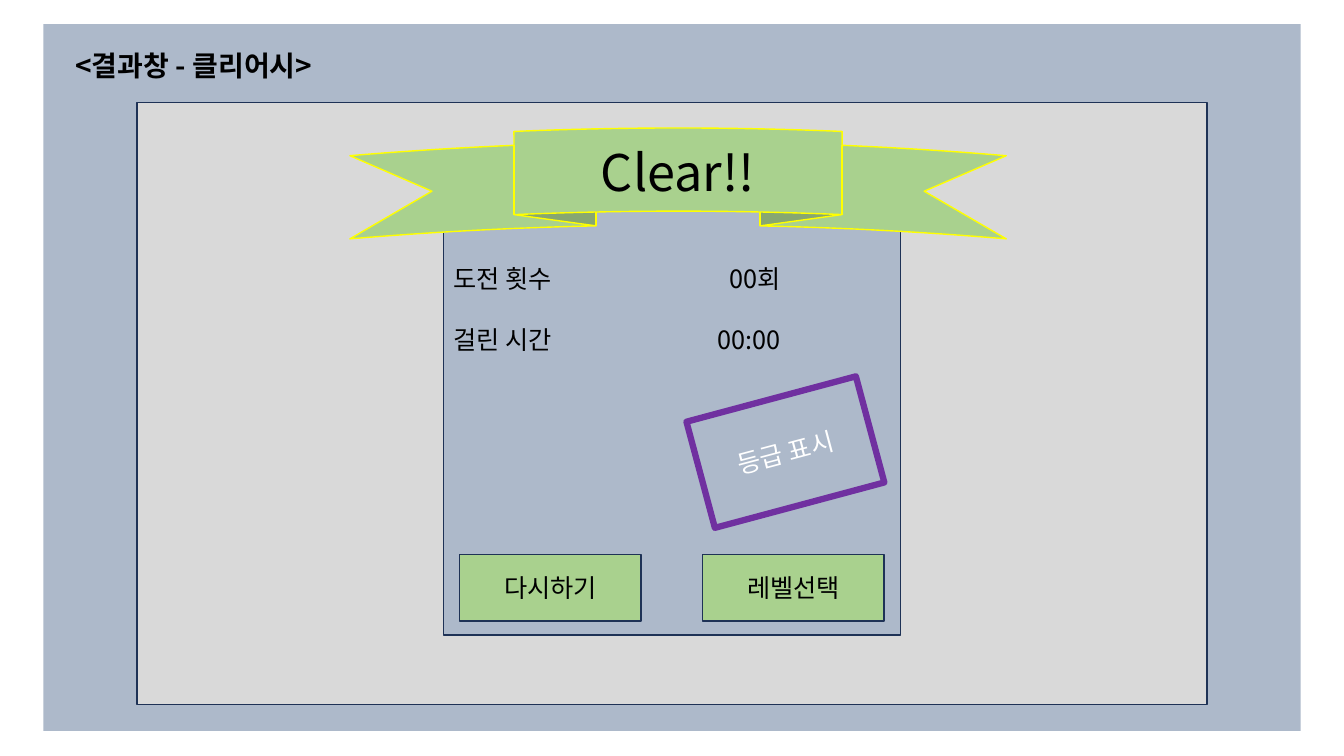
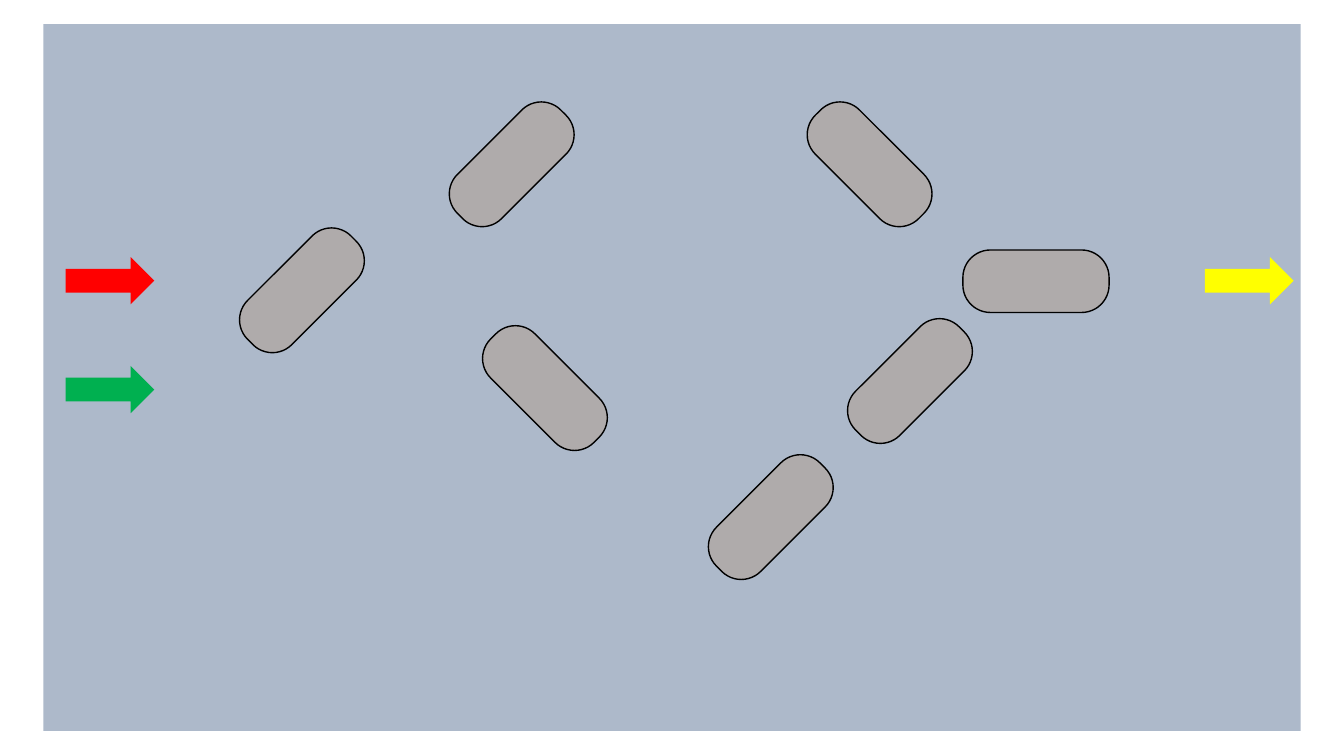
from lxml.etree import SubElement
from pptx import Presentation
from pptx.dml.color import RGBColor
from pptx.enum.shapes import MSO_SHAPE
from pptx.enum.text import MSO_ANCHOR, MSO_AUTO_SIZE, PP_ALIGN
from pptx.oxml.ns import qn
from pptx.util import Inches, Pt

FONT = "Noto Sans CJK KR"
BLACK = RGBColor(0x00, 0x00, 0x00)
WHITE = RGBColor(0xFF, 0xFF, 0xFF)
BLUE_GRAY = RGBColor(0xAD, 0xB9, 0xCA)
LIGHT_GRAY = RGBColor(0xD9, 0xD9, 0xD9)
STONE = RGBColor(0xAF, 0xAB, 0xAB)
NAVY = RGBColor(0x1E, 0x32, 0x56)
LEAF = RGBColor(0xA9, 0xD1, 0x8E)
PURPLE = RGBColor(0x70, 0x30, 0xA0)
YELLOW = RGBColor(0xFF, 0xFF, 0x00)
RED = RGBColor(0xFF, 0x00, 0x00)
GREEN = RGBColor(0x00, 0xB0, 0x50)


def style_text(frame, size, color=BLACK, bold=False):
    for paragraph in frame.paragraphs:
        for run in paragraph.runs:
            run.font.size = Pt(size)
            run.font.bold = bold
            run.font.color.rgb = color
            run.font.name = FONT
            # Korean letters take the East Asian font
            SubElement(run.font._element, qn("a:ea"), typeface=FONT)


def add_block(slide, kind, box, fill=None, line=None, width=1,
              text="", size=18, color=BLACK, rotation=0):
    block = slide.shapes.add_shape(kind, *map(Inches, box))
    block.shadow.inherit = False
    block.rotation = rotation
    if fill is None:
        block.fill.background()
    else:
        block.fill.solid()
        block.fill.fore_color.rgb = fill
    if line is None:
        block.line.fill.background()
    else:
        block.line.color.rgb = line
        block.line.width = Pt(width)
    if text:
        frame = block.text_frame
        frame.text = text
        frame.vertical_anchor = MSO_ANCHOR.MIDDLE
        frame.paragraphs[0].alignment = PP_ALIGN.CENTER
        style_text(frame, size, color)
    return block


prs = Presentation()
prs.slide_width = Inches(13.33)
prs.slide_height = Inches(7.5)

# Both slides share the blue-gray stage
result, level = [prs.slides.add_slide(prs.slide_layouts[6]) for _ in range(2)]
for slide in (result, level):
    add_block(slide, MSO_SHAPE.RECTANGLE, (0.43, 0.24, 12.47, 7.01), BLUE_GRAY)

# Slide 1: result window
add_block(result, MSO_SHAPE.RECTANGLE, (1.36, 1.02, 10.61, 5.97), LIGHT_GRAY, NAVY)

title = result.shapes.add_textbox(Inches(0.65), Inches(0.43), Inches(2.87), Inches(0.44))
title.text_frame.text = "<결과창 - 클리어시>"
title.text_frame.word_wrap = False
title.text_frame.auto_size = MSO_AUTO_SIZE.SHAPE_TO_FIT_TEXT
style_text(title.text_frame, 20, bold=True)

add_block(result, MSO_SHAPE.RECTANGLE, (4.4, 1.77, 4.53, 4.53), BLUE_GRAY, NAVY)
add_block(result, MSO_SHAPE.CURVED_UP_RIBBON, (3.47, 1.27, 6.51, 1.1), LEAF, YELLOW,
          text="Clear!!", size=36)

# Attempts and time, values right-aligned on a tab stop
stats = result.shapes.add_textbox(Inches(4.4), Inches(2.56), Inches(4.53), Inches(1.01))
stats.text_frame.word_wrap = True
stats.text_frame.text = "도전 횟수\t00회\n걸린 시간\t00:00"
for index, paragraph in enumerate(stats.text_frame.paragraphs):
    tabs = SubElement(paragraph._p.get_or_add_pPr(), qn("a:tabLst"))
    SubElement(tabs, qn("a:tab"), pos=str(Inches(3.24)), algn="r")
    paragraph.line_spacing = Pt(21.8)
    if index:
        paragraph.space_before = Pt(21.8)
style_text(stats.text_frame, 18)

# Grade stamp
add_block(result, MSO_SHAPE.RECTANGLE, (6.92, 3.94, 1.74, 1.09), line=PURPLE, width=4.5,
          text="등급 표시", color=WHITE, rotation=345)

# Buttons
for left, label in ((4.56, "다시하기"), (6.97, "레벨선택")):
    add_block(result, MSO_SHAPE.RECTANGLE, (left, 5.5, 1.8, 0.66), LEAF, NAVY, text=label)

# Slide 2: entry and exit arrows
for left, top, color in ((0.65, 2.55, RED), (0.65, 3.63, GREEN), (11.95, 2.55, YELLOW)):
    add_block(level, MSO_SHAPE.RIGHT_ARROW, (left, top, 0.88, 0.47), color)

# Obstacles: left, top, rotation
for left, top, angle in (
    (2.27, 2.57, 135),
    (4.35, 1.32, 315),
    (7.9, 1.32, 45),
    (9.55, 2.48, 0),
    (4.68, 3.54, 45),
    (6.92, 4.82, 315),
    (8.3, 3.47, 315),
):
    obstacle = add_block(level, MSO_SHAPE.ROUNDED_RECTANGLE, (left, top, 1.45, 0.62),
                         STONE, BLACK, rotation=angle)
    obstacle.adjustments[0] = 0.44

prs.save("out.pptx")
